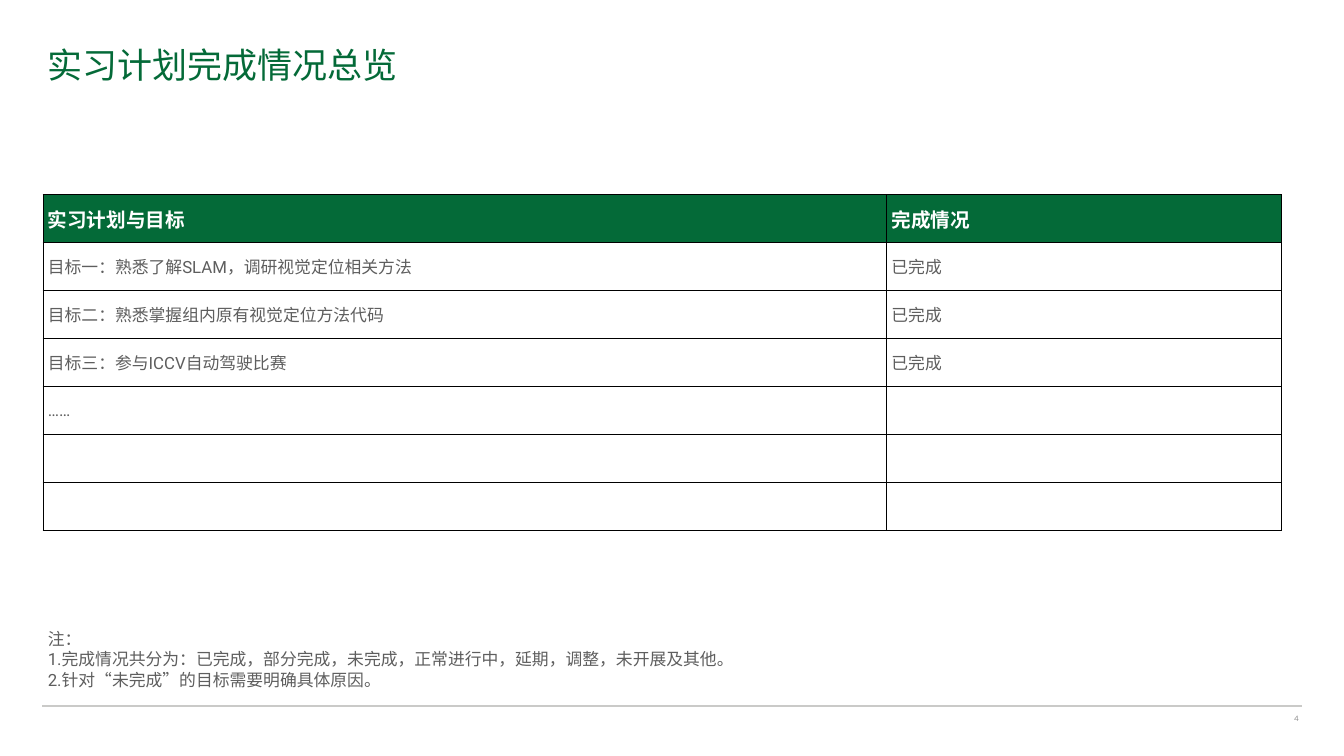
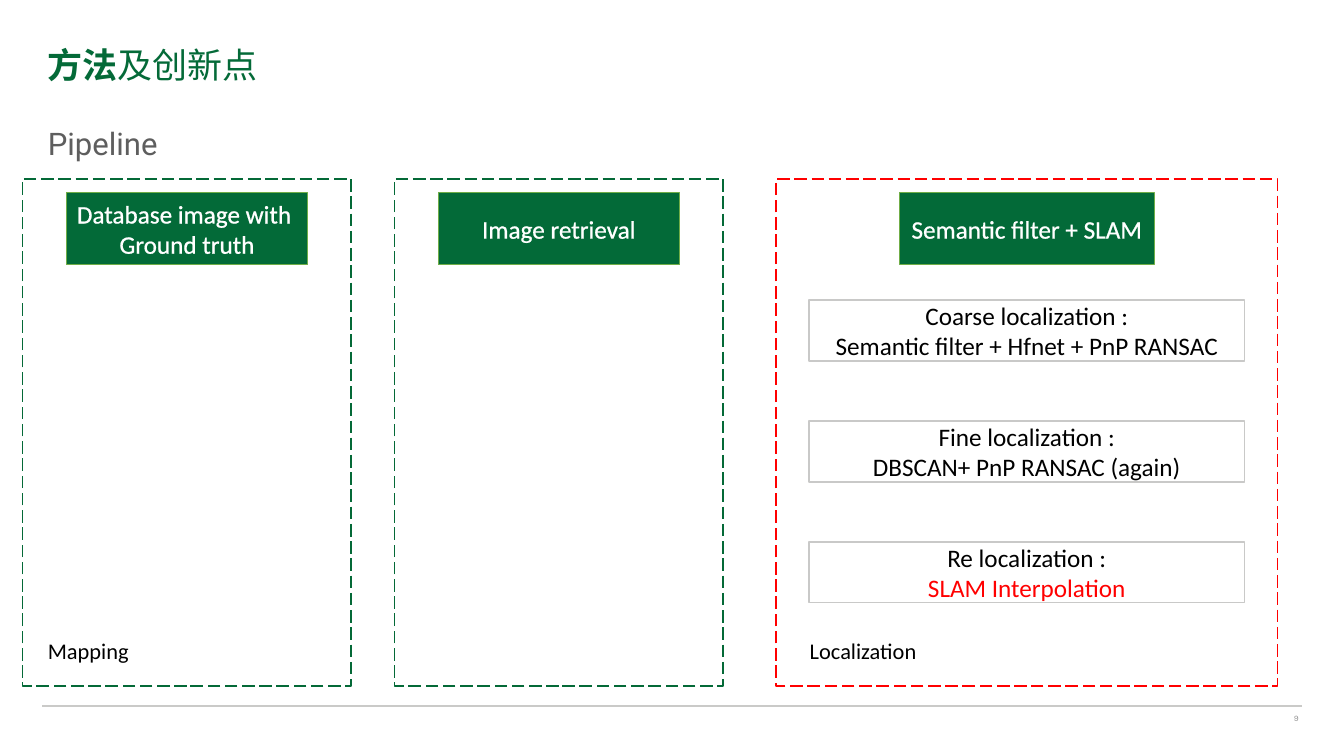
from dataclasses import dataclass

from lxml import etree
from pptx import Presentation
from pptx.dml.color import RGBColor
from pptx.enum import dml, shapes, text
from pptx.oxml import ns
from pptx.util import Inches, Pt

COLOURS = {
    "title": "046A38", "heading": "036A38", "panel": "046937", "edge": "70AD47",
    "body": "5E5E5E", "number": "929292", "rule": "CACAC8", "step": "C9C9C8",
    "white": "FFFFFF", "black": "000000", "red": "FF0000",
}
MIDDLE = text.MSO_ANCHOR.MIDDLE
CENTER = text.PP_ALIGN.CENTER


@dataclass
class Box:
    left: float
    top: float
    width: float
    height: float

    def inner(self, left, top, width, height):
        return Box(self.left + left, self.top + top, width, height)

    def centred(self, top, width, height):
        return self.inner((self.width - width) / 2, top, width, height)

    def lengths(self):
        return [Inches(v) for v in (self.left, self.top, self.width, self.height)]


@dataclass
class Style:
    font: str
    size: float
    colour: str
    bold: bool = False
    outlined: bool = False


TITLE = Style("Karla", 50, "title")
TITLE_BOLD = Style("Karla", 50, "title", bold=True)
NUMBER = Style("Karla", 12, "number")
SUBTITLE = Style("Roboto", 44.4, "body")
TABLE_HEAD = Style("Roboto", 28, "white", bold=True)
BODY = Style("Roboto", 24, "body")
CAPTION = Style("Calibri", 32, "black")
HEADING = Style("Calibri", 36, "white", outlined=True)
STEP = Style("Calibri", 36, "black", outlined=True)
STEP_RED = Style("Calibri", 36, "red", outlined=True)

PAGE_BOX = Box(0, 0, 26.67, 15)


def rgb(name):
    return RGBColor.from_string(COLOURS[name])


def add_xml(parent, tag, index=None, **attributes):
    element = etree.Element(ns.qn(tag), attributes)
    parent.insert(len(parent) if index is None else index, element)
    return element


# Text: each line is a list of (wording, style) spans
def write(frame, lines, align=None, spacing=None):
    for index, line in enumerate(lines):
        para = frame.paragraphs[0] if index == 0 else frame.add_paragraph()
        para.alignment = align
        para.line_spacing = spacing
        for wording, style in line:
            span = para.add_run()
            span.text = wording
            span.font.name = style.font
            span.font.size = Pt(style.size)
            span.font.bold = style.bold
            span.font.color.rgb = rgb(style.colour)
            if style.outlined:
                outline = add_xml(span.font._element, "a:ln", 0, w=str(Pt(0.75)))
                fill = add_xml(outline, "a:solidFill")
                add_xml(fill, "a:srgbClr", val=COLOURS[style.colour])


def set_insets(frame, inset):
    frame.margin_left = frame.margin_right = Inches(inset)
    frame.margin_top = frame.margin_bottom = Inches(inset)


def add_text(page, box, lines, anchor=text.MSO_ANCHOR.TOP, inset=None, **layout):
    frame = page.shapes.add_textbox(*box.lengths()).text_frame
    frame.word_wrap = True
    frame.vertical_anchor = anchor
    if inset is not None:
        set_insets(frame, inset)
    write(frame, lines, **layout)


def add_rectangle(page, box, line, width, fill=None, dashed=False):
    shape = page.shapes.add_shape(shapes.MSO_SHAPE.RECTANGLE, *box.lengths())
    shape.shadow.inherit = False
    if fill:
        shape.fill.solid()
        shape.fill.fore_color.rgb = rgb(fill)
    else:
        shape.fill.background()
    shape.line.color.rgb = rgb(line)
    shape.line.width = Pt(width)
    if dashed:
        shape.line.dash_style = dml.MSO_LINE.LONG_DASH
    shape.text_frame.word_wrap = True
    shape.text_frame.vertical_anchor = MIDDLE
    return shape


# Shared frame: title, footer rule and page number
def add_page(deck, box, title, number):
    page = deck.slides.add_slide(deck.slide_layouts[6])
    add_text(page, box.inner(0.85, 0.69, 24.98, 1.17), [title], anchor=MIDDLE)
    rule = box.inner(0.84, 14.01, 24.99, 0)
    left, top, width, _ = rule.lengths()
    line = page.shapes.add_connector(
        shapes.MSO_CONNECTOR.STRAIGHT, left, top, left + width, top)
    line.line.color.rgb = rgb("rule")
    line.line.width = Pt(2)
    add_xml(line._element.spPr, "a:effectLst")
    add_text(page, box.inner(22.84, 14.08, 2.99, 0.31), [[(number, NUMBER)]],
             inset=0.06, align=text.PP_ALIGN.RIGHT)
    return page


# Table of goals and their status
def add_border(cell):
    properties = cell._tc.get_or_add_tcPr()
    for index, side in enumerate(("a:lnL", "a:lnR", "a:lnT", "a:lnB")):
        border = add_xml(properties, side, index, w=str(Pt(1)))
        add_xml(add_xml(border, "a:solidFill"), "a:srgbClr", val=COLOURS["black"])


def add_goal_table(page, box, column_widths, rows):
    table = page.shapes.add_table(len(rows), len(column_widths), *box.lengths()).table
    for column, width in zip(table.columns, column_widths):
        column.width = Inches(width)
    for index, row in enumerate(rows):
        table.rows[index].height = Inches(box.height / len(rows))
        for cell, wording in zip(table.rows[index].cells, row):
            cell.vertical_anchor = MIDDLE
            if index == 0:
                cell.fill.solid()
                cell.fill.fore_color.rgb = rgb("title")
            else:
                cell.fill.background()
            add_border(cell)
            if wording:
                write(cell.text_frame, [[(wording, BODY if index else TABLE_HEAD)]])


def build_overview(deck, box):
    page = add_page(deck, box, [("实习计划完成情况总览", TITLE)], "4")
    add_goal_table(page, box.inner(0.85, 3.86, 24.58, 6.67), (16.74, 7.84), [
        ("实习计划与目标", "完成情况"),
        ("目标一：熟悉了解SLAM，调研视觉定位相关方法", "已完成"),
        ("目标二：熟悉掌握组内原有视觉定位方法代码", "已完成"),
        ("目标三：参与ICCV自动驾驶比赛", "已完成"),
        ("……", ""),
        ("", ""),
        ("", ""),
    ])
    notes = (
        "注：",
        "1.完成情况共分为：已完成，部分完成，未完成，正常进行中，延期，调整，未开展及其他。",
        "2.针对“未完成”的目标需要明确具体原因。",
    )
    add_text(page, box.inner(0.85, 12.43, 17.03, 1.31), [[(note, BODY)] for note in notes])


# Pipeline stage: dashed panel, heading block, optional caption
def add_stage(page, box, heading, heading_width=4.79, line="panel"):
    add_rectangle(page, box, line, 2.25, dashed=True)
    block = add_rectangle(page, box.centred(0.27, heading_width, 1.43),
                          "edge", 0.5, fill="heading")
    write(block.text_frame, [[(wording, HEADING)] for wording in heading], align=CENTER)


def add_caption(page, box, left, width, wording):
    add_text(page, box.inner(left, 9.04, width, 0.64), [[(wording, CAPTION)]])


def add_steps(page, box, steps):
    for index, (name, method, style) in enumerate(steps):
        step = add_rectangle(page, box.centred(2.4 + 2.4 * index, 8.64, 1.21),
                             "step", 2, fill="white")
        set_insets(step.text_frame, 0)
        write(step.text_frame, [[(name, STEP)], [(method, style)]], align=CENTER)


def build_pipeline(deck, box):
    page = add_page(deck, box, [("方法", TITLE_BOLD), ("及创新点", TITLE)], "9")
    add_text(page, box.inner(0.85, 2.12, 3.24, 1.17), [[("Pipeline", SUBTITLE)]], spacing=1.4)

    mapping, retrieval, localization = (
        box.inner(left, 3.55, width, 10.06)
        for left, width in ((0.45, 6.52), (7.83, 6.52), (15.4, 9.95)))
    add_stage(page, mapping, ["Database image with ", "Ground truth"])
    add_caption(page, mapping, 0.4, 1.93, "Mapping")
    add_stage(page, retrieval, ["Image retrieval"])
    add_stage(page, localization, ["Semantic filter + SLAM"], 5.05, "red")
    add_caption(page, localization, 0.57, 2.49, "Localization")
    add_steps(page, localization, [
        ("Coarse localization :", "Semantic filter + Hfnet + PnP RANSAC", STEP),
        ("Fine localization :", "DBSCAN+ PnP RANSAC (again)", STEP),
        ("Re localization :", "SLAM Interpolation", STEP_RED),
    ])


def main():
    deck = Presentation()
    deck.slide_width = Inches(PAGE_BOX.width)
    deck.slide_height = Inches(PAGE_BOX.height)
    build_overview(deck, PAGE_BOX)
    build_pipeline(deck, PAGE_BOX)
    deck.save("out.pptx")


if __name__ == "__main__":
    main()
